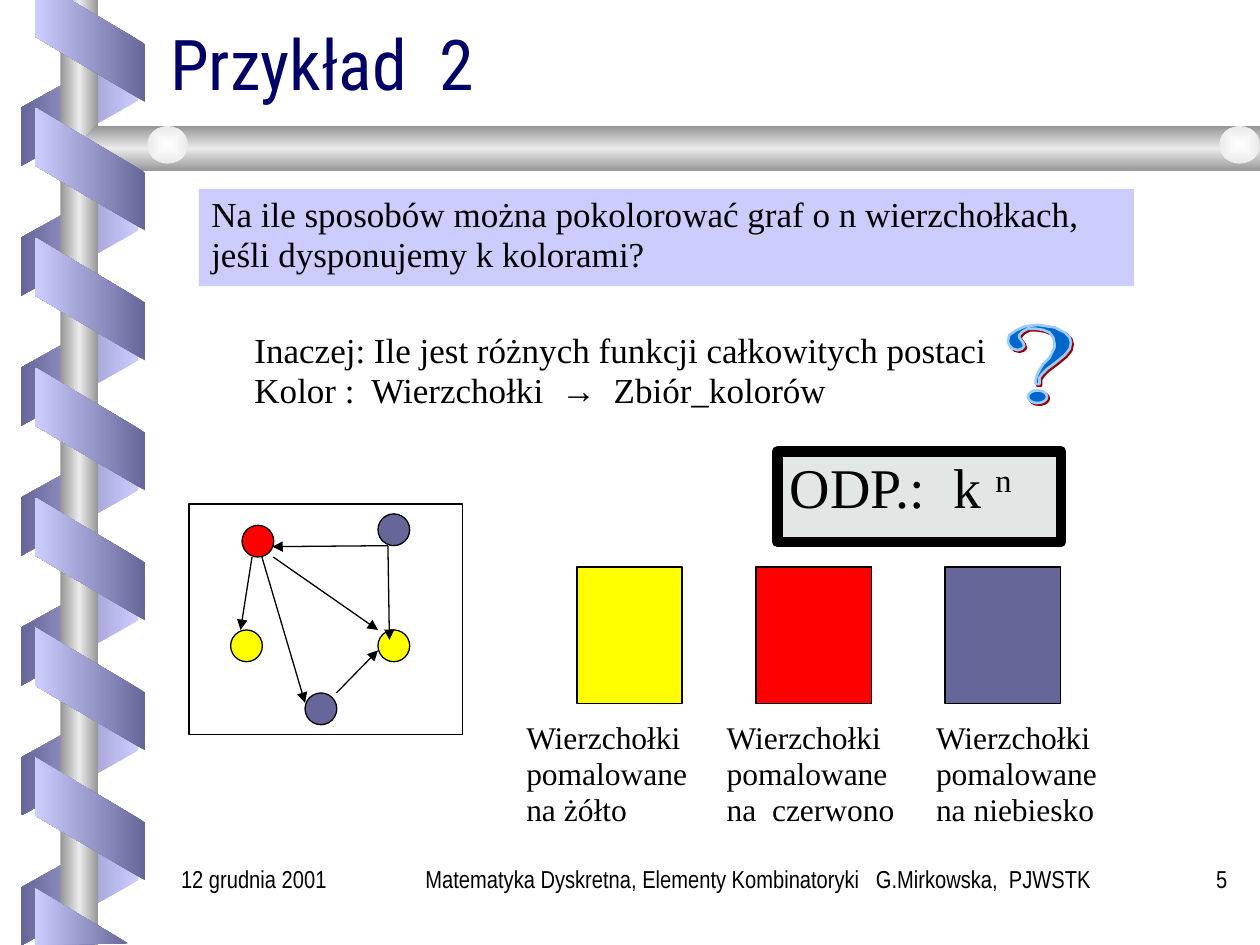
import math
from dataclasses import dataclass

from lxml import etree
from pptx import Presentation
from pptx import util as u
from pptx.dml import color
from pptx.enum import shapes, text
from pptx.oxml import ns

Cm, Pt = u.Cm, u.Pt


@dataclass(frozen=True)
class Theme:
    navy: str = "000066"
    black: str = "000000"
    lilac: str = "CCCCFF"
    violet: str = "666699"
    red: str = "FF0000"
    yellow: str = "FFFF00"
    answer: str = "E1E7E4"
    blue: str = "0066CC"
    sky: str = "99CCFF"
    maroon: str = "990000"
    metal: tuple = ("969696", "EAEAEA", "969696")
    knob: tuple = ("FEFFFF", "EAEAEA")
    serif: str = "Times New Roman"
    symbol: str = "Arial"
    narrow: str = "Arial Narrow"
    heading: str = "Roboto Condensed"
    title_size: int = 40
    answer_size: int = 32
    body_size: int = 20
    label_size: int = 18
    footer_size: int = 14


theme = Theme()


def write(shape, *runs, size=theme.body_size, font=theme.serif, ink=theme.black,
          spacing=0.95, align=text.PP_ALIGN.LEFT, anchor=text.MSO_ANCHOR.TOP):
    """Fill a shape with one paragraph; a run is a string or (string, font, baseline)."""
    frame = shape.text_frame
    frame.word_wrap = True
    frame.vertical_anchor = anchor
    frame.margin_left = frame.margin_right = Cm(0.25)
    frame.margin_top = frame.margin_bottom = Cm(0.13)
    paragraph = frame.paragraphs[0]
    paragraph.alignment = align
    paragraph.line_spacing = spacing
    for item in runs:
        words, face, baseline = (item, font, 0) if isinstance(item, str) else item
        run = paragraph.add_run()
        run.text = words
        run.font.name = face
        run.font.size = Pt(size)
        run.font.bold = False
        run.font.color.rgb = color.RGBColor.from_string(ink)
        if baseline:
            run._r.get_or_add_rPr().set("baseline", str(baseline * 1000))


def paint(shape, fill=None, line=None, width=0.75, angle=None):
    """Give a shape its outline and a plain fill, or a gradient when fill is a tuple."""
    shape.shadow.inherit = False
    if line:
        shape.line.color.rgb = color.RGBColor.from_string(line)
        shape.line.width = Pt(width)
    else:
        shape.line.fill.background()
    if fill is None:
        shape.fill.background()
    elif isinstance(fill, str):
        shape.fill.solid()
        shape.fill.fore_color.rgb = color.RGBColor.from_string(fill)
    else:
        shape.fill.gradient()
        gradient = shape._element.spPr.find(ns.qn("a:gradFill"))
        for child in list(gradient):
            gradient.remove(child)
        stops = etree.SubElement(gradient, ns.qn("a:gsLst"))
        for i, shade in enumerate(fill):
            stop = etree.SubElement(stops, ns.qn("a:gs"), pos=str(100000 * i // (len(fill) - 1)))
            etree.SubElement(stop, ns.qn("a:srgbClr"), val=shade)
        if angle is None:  # from the centre outwards
            centre = etree.SubElement(gradient, ns.qn("a:path"), path="rect")
            etree.SubElement(centre, ns.qn("a:fillToRect"),
                             {side: "50000" for side in "ltrb"})
        else:
            etree.SubElement(gradient, ns.qn("a:lin"), ang=str(angle * 60000), scaled="0")


deck = Presentation()
deck.slide_width, deck.slide_height = Cm(25.4), Cm(19.05)
slide = deck.slides.add_slide(deck.slide_layouts[5])
parts = slide.shapes
kind = shapes.MSO_SHAPE

# Helix ribbons, pole and bar, from back to front
pitch, ribbon, drop = 2.62, 1.17, 1.31
pole_place = (1.22, 0, 0.76, 19.05)
back, front = (theme.lilac, theme.violet), (theme.violet, theme.lilac)
back_strands = [[(2.78, top + ribbon), (2.78, top), (0.43, top + drop),
                 (0.43, top + drop + ribbon)]
                for top in (0.86 + pitch * i for i in range(7))]
front_strands = [[(0.71, top + ribbon), (0.71, top), (2.93, top + drop),
                  (2.93, top + drop + ribbon)]
                 for top in (2.17 + pitch * i for i in range(6))]
front_strands += [
    [(0.71, 0), (0.71, 0.74), (2.93, 2.06), (2.93, 0.89), (1.42, 0)],
    [(2.59, 19.02), (0.71, 17.91), (0.71, 19.05)],
]
bar = [(25.4, 2.54), (1.93, 2.54), (1.52, 3), (1.93, 3.45), (25.4, 3.45)]
outlines = [(strand, back, 180) for strand in back_strands]
outlines += [(bar, theme.metal, 90)]
outlines += [(strand, front, 180) for strand in front_strands]
for outline, shades, angle in outlines:
    if outline is bar:
        pole = parts.add_shape(kind.RECTANGLE, *map(Cm, pole_place))
        paint(pole, theme.metal, angle=180)
    corners = [(Cm(x), Cm(y)) for x, y in outline]
    builder = parts.build_freeform(*corners[0])
    builder.add_line_segments(corners[1:])
    paint(builder.convert_to_shape(), shades, angle=angle)
for left in (2.97, 24.58):
    paint(parts.add_shape(kind.OVAL, Cm(left), Cm(2.54), Cm(0.82), Cm(0.76)), theme.knob)

# Title
title = parts.title
title.left, title.top, title.width, title.height = map(Cm, (3.18, 0.25, 21.59, 1.98))
write(title, "Przykład  2", size=theme.title_size, font=theme.heading, ink=theme.navy,
      spacing=0.8, anchor=text.MSO_ANCHOR.BOTTOM)

# Question and its rewording
question = parts.add_shape(kind.RECTANGLE, Cm(4.01), Cm(3.81), Cm(18.85), Cm(1.96))
paint(question, theme.lilac)
write(question, "Na ile sposobów można pokolorować graf o n wierzchołkach, "
                "jeśli dysponujemy k kolorami?")
rewording = parts.add_textbox(Cm(4.88), Cm(6.55), Cm(16.71), Cm(1.88))
write(rewording, "Inaczej: Ile jest różnych funkcji całkowitych postaci Kolor :  Wierzchołki  ",
      ("→", theme.symbol, 0), "  Zbiór_kolorów")

# Question mark: a dot and a hook on a grid of 0.0254 cm
dot = [(23.5 + 7.5 * math.cos(math.pi * i / 10), 57 + 5 * math.sin(math.pi * i / 10))
       for i in range(20)]
hook = [(25, 47), (22, 47), (22, 44), (23, 40), (25, 36), (28, 31), (33, 26), (35, 22),
        (37, 18), (37, 15), (36, 10), (33, 6), (28, 4), (22, 3), (16, 3), (12, 5), (9, 8),
        (9, 10), (12, 14), (13, 17), (11, 19), (8, 20), (4, 19), (1, 16), (0, 13), (1, 8),
        (4, 6), (7, 4), (14, 1), (24, 0), (37, 2), (45, 6), (49, 10), (50, 14), (49, 19),
        (45, 24), (39, 29), (31, 35), (27, 39), (25, 42)]
dot, hook = ([(Cm(20.32 + 0.0254 * x), Cm(6.55 + 0.0254 * y)) for x, y in contour]
             for contour in (dot, hook))
builder = parts.build_freeform(*dot[0])
builder.add_line_segments(dot[1:])
builder.move_to(*hook[0])
builder.add_line_segments(hook[1:])
question_mark = builder.convert_to_shape()
paint(question_mark, theme.blue, theme.sky, 1.5)
effects = question_mark._element.spPr.find(ns.qn("a:effectLst"))
shadow = etree.SubElement(effects, ns.qn("a:outerShdw"), dist=str(Pt(1.4)), dir="2700000")
etree.SubElement(shadow, ns.qn("a:srgbClr"), val=theme.maroon)

# Coloured graph: vertices, directed edges, frame
for left, top, shade in [(4.88, 10.59, theme.red), (4.65, 12.7, theme.yellow),
                         (7.62, 12.7, theme.yellow), (7.62, 10.36, theme.violet),
                         (6.15, 13.97, theme.violet)]:
    vertex = parts.add_shape(kind.OVAL, Cm(left), Cm(top), Cm(0.64), Cm(0.64))
    paint(vertex, shade, theme.black)
for ends in [(7.82, 11, 5.49, 11.02), (5.28, 11.23, 6.15, 14.17), (7.82, 11, 7.85, 12.9),
             (5.51, 11.23, 7.62, 12.7), (5.08, 11.23, 4.85, 12.7), (6.78, 13.97, 7.62, 13.11)]:
    edge = parts.add_connector(shapes.MSO_CONNECTOR.STRAIGHT, *map(Cm, ends))
    edge.line.color.rgb = color.RGBColor.from_string(theme.black)
    edge.line.width = Pt(0.75)
    etree.SubElement(edge.line._get_or_add_ln(), ns.qn("a:tailEnd"), type="triangle")
    etree.SubElement(edge._element.spPr, ns.qn("a:effectLst"))
frame = parts.add_shape(kind.RECTANGLE, Cm(3.81), Cm(10.16), Cm(5.51), Cm(4.65))
paint(frame, line=theme.black)

# Colour classes
for left, width, shade, label_left, label_width, label in [
        (11.63, 2.12, theme.yellow, 10.36, 4.24, "Wierzchołki pomalowane na żółto"),
        (19.05, 2.33, theme.violet, 18.62, 4.45, "Wierzchołki pomalowane na niebiesko"),
        (15.24, 2.33, theme.red, 14.4, 4.24, "Wierzchołki pomalowane na  czerwono")]:
    swatch = parts.add_shape(kind.RECTANGLE, Cm(left), Cm(11.43), Cm(width), Cm(2.75))
    paint(swatch, shade, theme.black)
    caption = parts.add_textbox(Cm(label_left), Cm(14.4), Cm(label_width), Cm(2.44))
    write(caption, label, size=theme.label_size)

# Answer
answer = parts.add_shape(kind.RECTANGLE, Cm(15.67), Cm(9.1), Cm(5.72), Cm(1.83))
paint(answer, theme.answer, theme.black, 6)
write(answer, "ODP.:  k ", ("n", theme.serif, 30), size=theme.answer_size)

# Footer
for left, width, align, words in [
        (3.4, 4.42, text.PP_ALIGN.LEFT, "12 grudnia 2001"),
        (8.05, 14.6, text.PP_ALIGN.CENTER,
         "Matematyka Dyskretna, Elementy Kombinatoryki   G.Mirkowska,  PJWSTK "),
        (22.86, 2.13, text.PP_ALIGN.RIGHT, "5")]:
    footer = parts.add_textbox(Cm(left), Cm(17.35), Cm(width), Cm(0.81))
    write(footer, words, size=theme.footer_size, font=theme.narrow, spacing=0.93, align=align)

deck.save("out.pptx")
